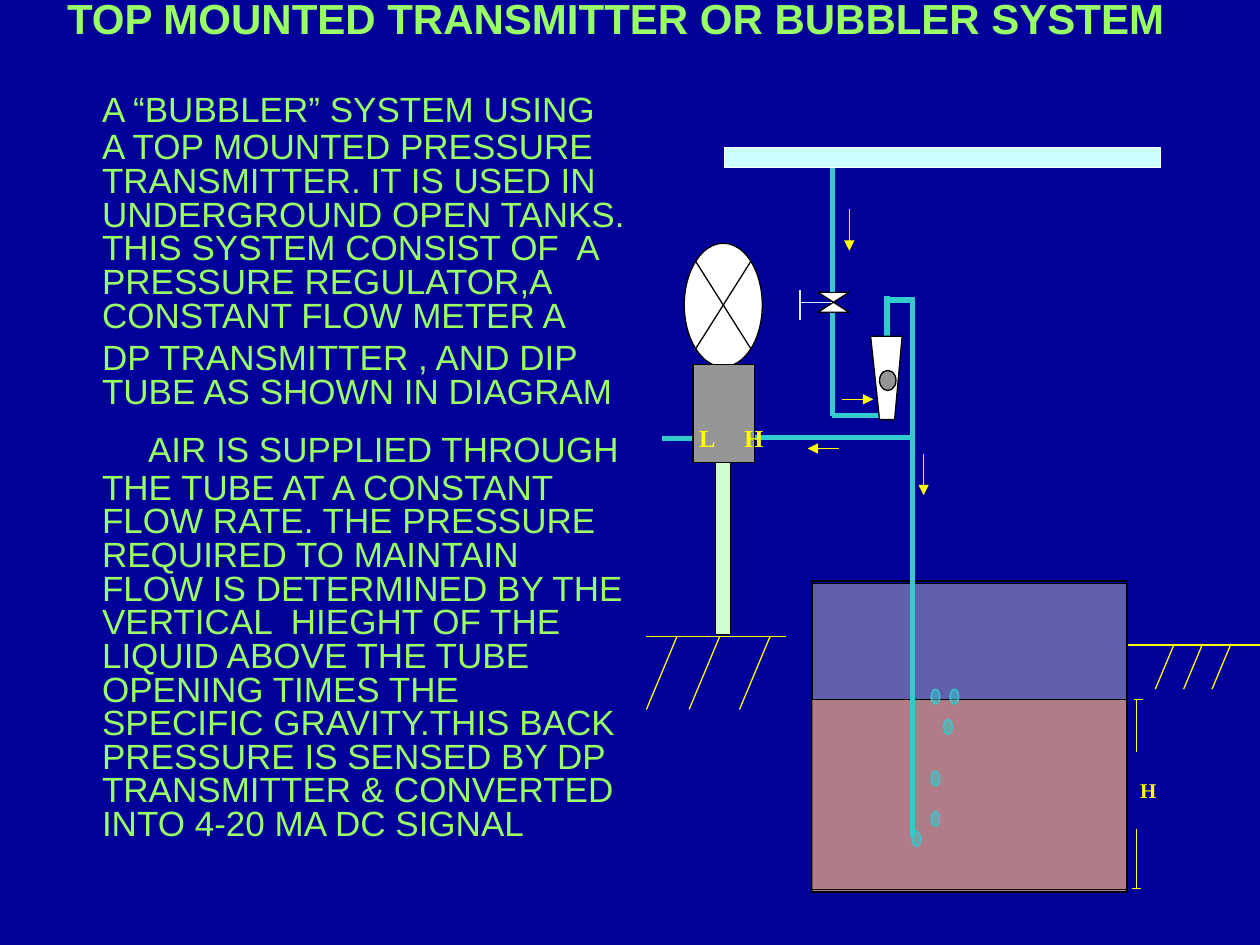
"""Draw the bubbler level system slide."""
from dataclasses import dataclass

from lxml.etree import SubElement
from pptx import Presentation
from pptx.dml.color import RGBColor
from pptx.enum.shapes import MSO_AUTO_SHAPE_TYPE as Kind, MSO_CONNECTOR as Link
from pptx.enum.text import MSO_ANCHOR as Anchor
from pptx.oxml.ns import qn
from pptx.util import Pt

YELLOW, TEAL, PALE, LIME = "FFFF00", "33CCCC", "CCECFF", "99FF66"
BLACK, WHITE, GREY = "000000", "FFFFFF", "969696"


@dataclass
class Line:
    x1: float
    y1: float
    x2: float
    y2: float
    color: str = YELLOW
    width: float = 0.75
    arrow: bool = False


@dataclass
class Form:
    kind: Kind
    x: float
    y: float
    w: float
    h: float
    fill: str = ""
    edge: str = BLACK
    alpha: int = 100


@dataclass
class Label:
    text: str
    x: float
    y: float
    w: float
    size: float


def rgb(code: str) -> RGBColor:
    return RGBColor.from_string(code)


def paint(shape, fill: str, edge: str, alpha: int = 100) -> None:
    shape.shadow.inherit = False
    if fill:
        shape.fill.solid()
        shape.fill.fore_color.rgb = rgb(fill)
    else:
        shape.fill.background()
    if alpha < 100:
        tint = shape.element.spPr.find(".//" + qn("a:srgbClr"))
        SubElement(tint, qn("a:alpha")).set("val", str(alpha * 1000))
    shape.line.color.rgb = rgb(edge)
    shape.line.width = Pt(0.75)


def draw_line(shapes, item: Line) -> None:
    ends = [Pt(v) for v in (item.x1, item.y1, item.x2, item.y2)]
    link = shapes.add_connector(Link.STRAIGHT, *ends)
    link.line.color.rgb = rgb(item.color)
    link.line.width = Pt(item.width)
    if item.arrow:
        SubElement(link.line._get_or_add_ln(), qn("a:tailEnd")).set("type", "triangle")
    SubElement(link.element.spPr, qn("a:effectLst"))


def draw_form(shapes, item: Form) -> None:
    box = [Pt(v) for v in (item.x, item.y, item.w, item.h)]
    paint(shapes.add_shape(item.kind, *box), item.fill, item.edge, item.alpha)


def style(run, size: float, color: str, face: str, bold: bool = False) -> None:
    run.font.size, run.font.name, run.font.bold = Pt(size), face, bold
    run.font.color.rgb = rgb(color)


def draw_label(shapes, item: Label) -> None:
    frame = shapes.add_textbox(Pt(item.x), Pt(item.y), Pt(item.w), Pt(24)).text_frame
    frame.text = item.text
    style(frame.paragraphs[0].runs[0], item.size, YELLOW, "Times New Roman", True)


def draw_meter(shapes) -> None:
    points = [(497.5, 192.2), (502.6, 239.8), (511.2, 239.8), (515.5, 192.2)]
    first, *rest = [(Pt(x), Pt(y)) for x, y in points]
    path = shapes.build_freeform(*first, scale=1.0)
    path.add_line_segments(rest, close=True)
    paint(path.convert_to_shape(), WHITE, BLACK)


def hatch(feet: list[float], lean: float, foot: float, top: float) -> list[Line]:
    return [Line(x, foot, x + lean, top) for x in feet]


def pipe(x1: float, y1: float, x2: float, y2: float) -> Line:
    return Line(x1, y1, x2, y2, TEAL, 3)


def flow(x1: float, y1: float, x2: float, y2: float) -> Line:
    return Line(x1, y1, x2, y2, arrow=True)


def write_title(shapes) -> None:
    frame = shapes.add_textbox(Pt(38.3), Pt(0), Pt(660), Pt(27)).text_frame
    frame.margin_left = frame.margin_right = frame.margin_top = frame.margin_bottom = 0
    frame.word_wrap, frame.vertical_anchor = True, Anchor.TOP
    frame.text = "TOP MOUNTED TRANSMITTER OR BUBBLER SYSTEM"
    frame.paragraphs[0].line_spacing = 0.86
    style(frame.paragraphs[0].runs[0], 24, LIME, "Arial", True)


def write_body(shapes) -> None:
    frame = shapes.add_textbox(Pt(23.8), Pt(41.8), Pt(342), Pt(498)).text_frame
    frame.word_wrap, frame.margin_left = True, Pt(34.5)
    for i, (parts, indent) in enumerate(BODY):
        para = frame.paragraphs[0] if i == 0 else frame.add_paragraph()
        para.line_spacing, para.space_before = 0.8, Pt(5 if i else 0)
        para._p.get_or_add_pPr().set("indent", str(Pt(indent)))
        for part in parts:
            run = para.add_run()
            run.text = part
            style(run, 32 if part == " " else 20, LIME, "Arial")


BODY = [
    (["A “BUBBLER” SYSTEM USING", " ",
      "A TOP MOUNTED PRESSURE TRANSMITTER. IT IS USED IN UNDERGROUND OPEN TANKS. "
      "THIS SYSTEM CONSIST OF  A PRESSURE REGULATOR,A CONSTANT FLOW METER A"], 0),
    (["DP TRANSMITTER , AND DIP TUBE AS SHOWN IN DIAGRAM"], 0),
    (["AIR IS SUPPLIED THROUGH", " ",
      "THE TUBE AT A CONSTANT FLOW RATE. THE PRESSURE REQUIRED TO MAINTAIN FLOW IS "
      "DETERMINED BY THE VERTICAL  HIEGHT OF THE LIQUID ABOVE THE TUBE OPENING TIMES "
      "THE SPECIFIC GRAVITY.THIS BACK PRESSURE IS SENSED BY DP TRANSMITTER & "
      "CONVERTED INTO 4-20 MA DC SIGNAL"], 26.3),
]
GROUND = [
    Line(369.4, 363.6, 449.3, 363.6), *hatch([369.4, 393.8, 422.6], 17.5, 405.4, 363.6),
    Line(644.4, 368.6, 720, 368.6), *hatch([660.2, 676.4, 692.6], 10.8, 393.8, 368),
]
TANK = [
    Form(Kind.RECTANGLE, 464.4, 333.4, 180, 176.4, "C0C0C0", alpha=50),
    Form(Kind.RECTANGLE, 463.7, 399.6, 180, 110.2, "FF9966", alpha=50),
    Form(Kind.RECTANGLE, 463.7, 332, 180, 176.4),
]
LEVEL = [
    Line(649.4, 399.6, 649.4, 429.8), Line(649.4, 473.8, 649.4, 508.3),
    Line(648, 399.6, 653, 399.6), Line(646.6, 507.6, 652.3, 507.6),
]
VALVE = [
    Form(Kind.RECTANGLE, 414, 84.2, 249.1, 11.5, "CCFFFF", WHITE),
    Form(Kind.FLOWCHART_COLLATE, 467.3, 167, 18, 11.5, WHITE),
]
PIPES = [
    pipe(396, 250.6, 378, 250.6), pipe(475.9, 95.8, 475.9, 167),
    pipe(475.9, 178.6, 475.9, 237.6), pipe(475.2, 237.6, 502.6, 237.6),
    pipe(506.9, 169.2, 506.9, 192.2), pipe(505.4, 171.4, 522.7, 171.4),
    pipe(521.3, 170.6, 521.3, 478.1), pipe(431.3, 249.8, 520.6, 249.8),
    Line(457.2, 172.8, 475.2, 172.8, PALE), Line(457.2, 165.6, 457.2, 182.9, PALE),
    flow(485.3, 119.5, 485.3, 143.3), flow(481, 228.2, 499, 228.2),
    flow(527.8, 259.2, 527.8, 283), flow(479.5, 256.3, 461.5, 256.3),
]
SENSOR = [
    Form(Kind.OVAL, 502.6, 211.7, 9.4, 11.5, GREY),
    Form(Kind.RECTANGLE, 409, 264.2, 8.6, 98.6, "CCFFCC"),
    Form(Kind.FLOWCHART_SUMMING_JUNCTION, 391, 139, 44.6, 70.6, WHITE),
    Form(Kind.RECTANGLE, 396, 208.1, 35.3, 56.2, GREY),
]
SPOTS = [(521.3, 475.2), (532.1, 440.6), (532.1, 463.7),
         (539.3, 411.1), (542.9, 393.8), (532.1, 393.8)]
BUBBLES = [Form(Kind.OVAL, x, y, 5, 8.6, TEAL, TEAL, 50) for x, y in SPOTS]
LABELS = [Label("H", 644.4, 440.6, 21.6, 12), Label("H", 418.3, 238.3, 25.2, 14),
          Label("L", 392.4, 238.3, 23.8, 14)]


def main() -> None:
    deck = Presentation()
    deck.slide_width, deck.slide_height = Pt(720), Pt(540)
    slide = deck.slides.add_slide(deck.slide_layouts[6])
    slide.background.fill.solid()
    slide.background.fill.fore_color.rgb = rgb("010199")
    shapes = slide.shapes
    write_title(shapes)
    write_body(shapes)
    for item in GROUND + TANK + LEVEL + VALVE + PIPES:
        (draw_line if isinstance(item, Line) else draw_form)(shapes, item)
    draw_meter(shapes)
    for item in SENSOR + BUBBLES:
        draw_form(shapes, item)
    for item in LABELS:
        draw_label(shapes, item)
    deck.save("out.pptx")


if __name__ == "__main__":
    main()
